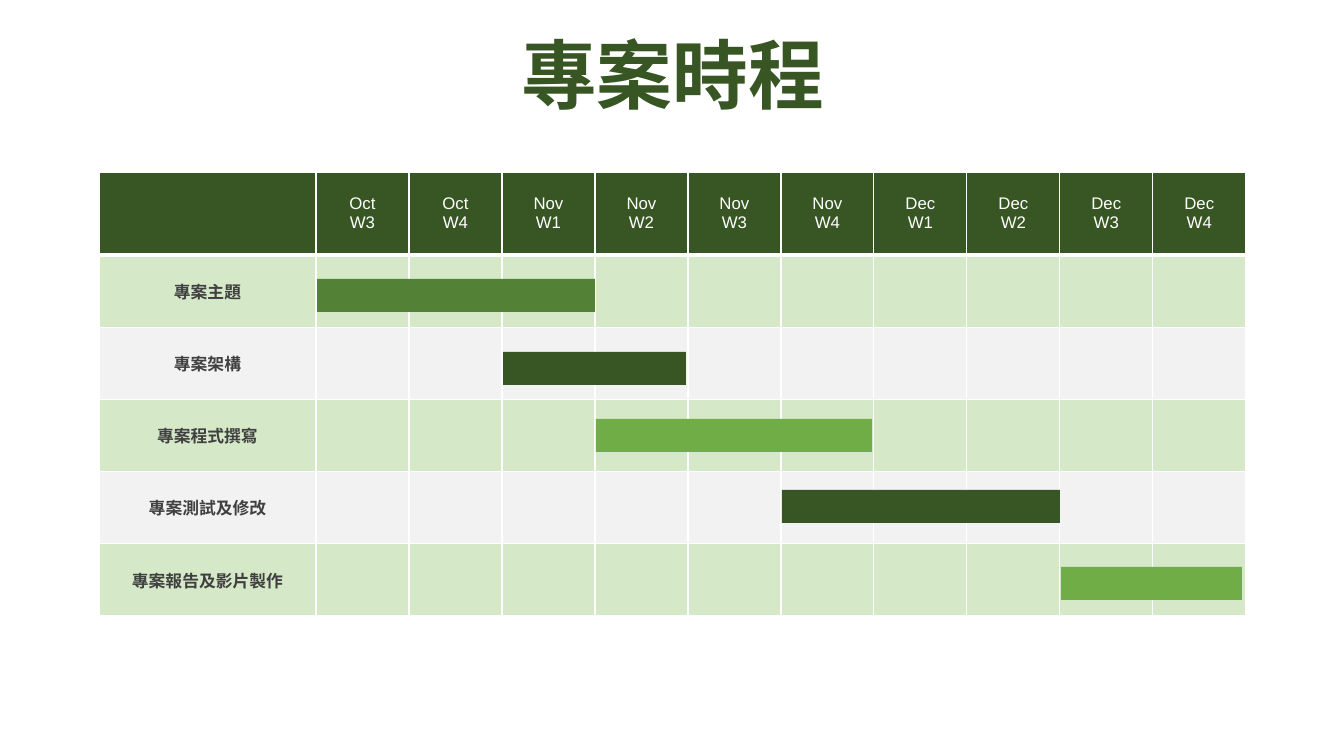
from dataclasses import dataclass

from lxml import etree
from pptx import Presentation
from pptx import util as u
from pptx.dml.color import RGBColor
from pptx.enum import shapes, text
from pptx.oxml import ns

TITLE = "專案時程"
WEEKS = ["Oct W3", "Oct W4", "Nov W1", "Nov W2", "Nov W3",
         "Nov W4", "Dec W1", "Dec W2", "Dec W3", "Dec W4"]
TASKS = [
    {"name": "專案主題", "start": "Oct W3", "width": 278, "top": 279, "tone": "mid"},
    {"name": "專案架構", "start": "Nov W1", "width": 183, "top": 352, "tone": "dark"},
    {"name": "專案程式撰寫", "start": "Nov W2", "width": 276, "top": 419, "tone": "bright"},
    {"name": "專案測試及修改", "start": "Nov W4", "width": 278, "top": 490, "tone": "dark"},
    {"name": "專案報告及影片製作", "start": "Dec W3", "width": 181, "top": 567, "tone": "bright"},
]


@dataclass(frozen=True)
class Theme:
    font: str = "Arial"
    dark: str = "375623"
    mid: str = "538135"
    bright: str = "70AD47"
    bands: tuple = ("D5E8C8", "F2F2F2")
    label: str = "404040"
    white: str = "FFFFFF"
    title_size: int = 54
    table_size: int = 12
    thin: int = 1
    thick: int = 3


THEME = Theme()
PAGE_WIDTH, PAGE_HEIGHT = 1344, 756
TABLE_LEFT, TABLE_TOP = 99, 172
NAME_WIDTH, WEEK_WIDTH = 217, 93
HEADER_HEIGHT, BODY_HEIGHT = 83, 361
BAR_HEIGHT, BAR_INSET = 33, 1


def px(length):
    return u.Emu(round(length * 914400 / 100.8))


def color(code):
    return RGBColor.from_string(code)


def write(frame, lines, size, code, bold=False):
    frame.text = "\n".join(lines)
    for para in frame.paragraphs:
        para.alignment = text.PP_ALIGN.CENTER
        para.font.size = u.Pt(size)
        for span in para.runs:
            span.font.name = THEME.font
            span.font.size = u.Pt(size)
            span.font.bold = bold
            span.font.color.rgb = color(code)


def style_cell(cell, code, bottom):
    properties = cell._tc.get_or_add_tcPr()
    for side in "LRTB":
        points = bottom if side == "B" else THEME.thin
        line = etree.SubElement(properties, ns.qn(f"a:ln{side}"), w=str(u.Pt(points)))
        fill = etree.SubElement(line, ns.qn("a:solidFill"))
        etree.SubElement(fill, ns.qn("a:srgbClr"), val=THEME.white)
    cell.fill.solid()
    cell.fill.fore_color.rgb = color(code)
    cell.vertical_anchor = text.MSO_ANCHOR.MIDDLE


def add_title(page):
    box = page.shapes.add_textbox(px(55), px(32), px(1235), px(94))
    frame = box.text_frame
    frame.word_wrap = True
    frame.vertical_anchor = text.MSO_ANCHOR.MIDDLE
    write(frame, [TITLE], THEME.title_size, THEME.dark, True)
    frame.paragraphs[0].line_spacing = 0.9


def add_schedule(page):
    width = NAME_WIDTH + WEEK_WIDTH * len(WEEKS)
    height = HEADER_HEIGHT + BODY_HEIGHT
    table = page.shapes.add_table(
        len(TASKS) + 1, len(WEEKS) + 1,
        px(TABLE_LEFT), px(TABLE_TOP), px(width), px(height)).table
    table.first_row = table.horz_banding = False
    for index, column in enumerate(table.columns):
        column.width = px(WEEK_WIDTH if index else NAME_WIDTH)
    for index, row in enumerate(table.rows):
        row.height = px(BODY_HEIGHT / len(TASKS) if index else HEADER_HEIGHT)
        code = THEME.bands[(index - 1) % 2] if index else THEME.dark
        for cell in row.cells:
            style_cell(cell, code, THEME.thin if index else THEME.thick)
    for index, week in enumerate(WEEKS, 1):
        write(table.cell(0, index).text_frame, week.split(), THEME.table_size, THEME.white)
    for index, task in enumerate(TASKS, 1):
        write(table.cell(index, 0).text_frame, [task["name"]],
              THEME.table_size, THEME.label, True)


def add_bars(page):
    for task in TASKS:
        left = TABLE_LEFT + NAME_WIDTH + WEEK_WIDTH * WEEKS.index(task["start"]) + BAR_INSET
        bar = page.shapes.add_shape(
            shapes.MSO_SHAPE.RECTANGLE,
            px(left), px(task["top"]), px(task["width"]), px(BAR_HEIGHT))
        bar.shadow.inherit = False
        bar.fill.solid()
        bar.fill.fore_color.rgb = color(getattr(THEME, task["tone"]))
        bar.line.fill.background()


def main():
    deck = Presentation()
    deck.slide_width, deck.slide_height = px(PAGE_WIDTH), px(PAGE_HEIGHT)
    page = deck.slides.add_slide(deck.slide_layouts[6])
    add_title(page)
    add_schedule(page)
    add_bars(page)
    deck.save("out.pptx")


if __name__ == "__main__":
    main()
